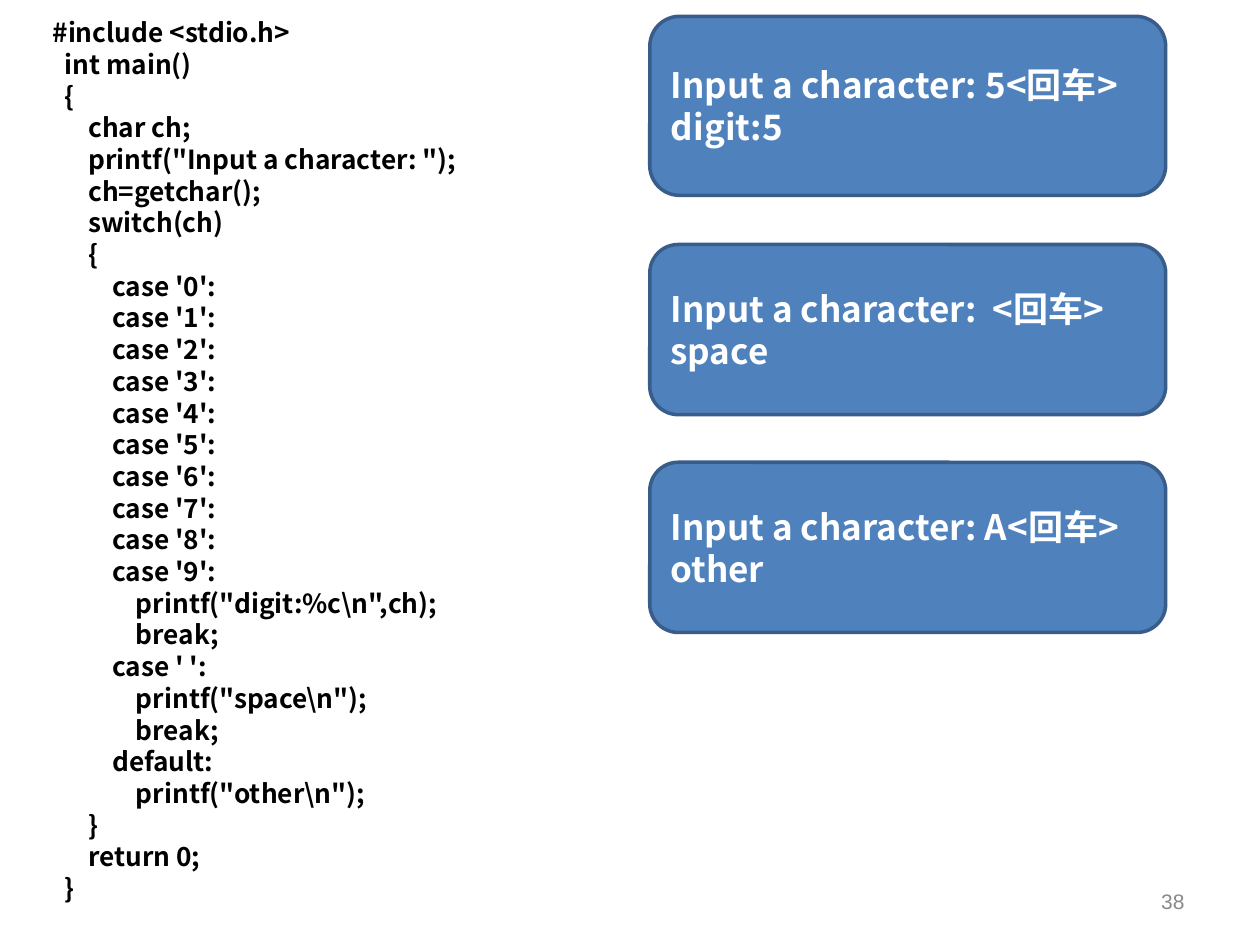
from pptx import Presentation
from pptx.dml.color import RGBColor
from pptx.enum.shapes import MSO_SHAPE
from pptx.enum.text import MSO_ANCHOR, PP_ALIGN
from pptx.util import Cm, Pt
from lxml.etree import SubElement
from pptx.oxml.ns import qn

BLACK = RGBColor(0x00, 0x00, 0x00)
WHITE = RGBColor(0xFF, 0xFF, 0xFF)
GRAY = RGBColor(0x89, 0x89, 0x89)
BLUE = RGBColor(0x4F, 0x81, 0xBD)
NAVY = RGBColor(0x38, 0x5D, 0x8A)
SANS = "Noto Sans CJK SC"

HEAD = r''' #include <stdio.h>
   int main()
   {
       char ch;
       printf("Input a character: ");
       ch=getchar();
       switch(ch)
       {'''
CASES = [f"           case '{digit}':" for digit in range(10)]
TAIL = r'''               printf("digit:%c\n",ch);
               break;
           case ' ':
               printf("space\n");
               break;
           default:
               printf("other\n");
       }
       return 0;
   }'''
CODE = [*HEAD.split("\n"), *CASES, *TAIL.split("\n")]

# top, height, lines
RUNS = [
    (0.33, 3.61, ["Input a character: 5<回车>", "digit:5"]),
    (4.93, 3.43, ["Input a character:  <回车>", "space"]),
    (9.32, 3.43, ["Input a character: A<回车>", "other"]),
]


def write(frame, lines, size, color, font=SANS, bold=True,
          align=PP_ALIGN.LEFT, anchor=MSO_ANCHOR.TOP, pitch=None, gap=0):
    """Fill a text frame, one paragraph per line."""
    frame.word_wrap = True
    frame.vertical_anchor = anchor
    for i, line in enumerate(lines):
        para = frame.paragraphs[0] if i == 0 else frame.add_paragraph()
        para.alignment = align
        if pitch:
            para.line_spacing = pitch
        if i and gap:
            para.space_before = Pt(gap)
        run = para.add_run()
        run.text = line
        run.font.name = font
        run.font.size = Pt(size)
        run.font.bold = bold
        run.font.color.rgb = color
        SubElement(run.font._element, qn("a:ea")).set("typeface", font)


class Deck:
    def __init__(self):
        self.show = Presentation()
        self.show.slide_width = Cm(25.4)
        self.show.slide_height = Cm(19.05)
        self.slide = self.show.slides.add_slide(self.show.slide_layouts[6])

    def text(self, left, top, width, height, lines, **style):
        area = self.slide.shapes.add_textbox(
            Cm(left), Cm(top), Cm(width), Cm(height))
        write(area.text_frame, lines, **style)

    def card(self, left, top, width, height, lines):
        card = self.slide.shapes.add_shape(
            MSO_SHAPE.ROUNDED_RECTANGLE,
            Cm(left), Cm(top), Cm(width), Cm(height))
        card.shadow.inherit = False
        card.fill.solid()
        card.fill.fore_color.rgb = BLUE
        card.line.color.rgb = NAVY
        card.line.width = Pt(2)
        write(card.text_frame, lines, size=20, color=WHITE,
              anchor=MSO_ANCHOR.MIDDLE)


def main():
    deck = Deck()
    deck.text(0.69, 0.33, 24.2, 18.2, CODE, size=15, color=BLACK,
              pitch=0.8, gap=3.7)
    for top, height, lines in RUNS:
        deck.card(13.1, top, 10.4, height, lines)
    deck.text(18.2, 17.65, 5.93, 1.02, ["38"], size=12, color=GRAY,
              font="Arial", bold=False, align=PP_ALIGN.RIGHT,
              anchor=MSO_ANCHOR.MIDDLE)
    deck.show.save("out.pptx")


if __name__ == "__main__":
    main()
